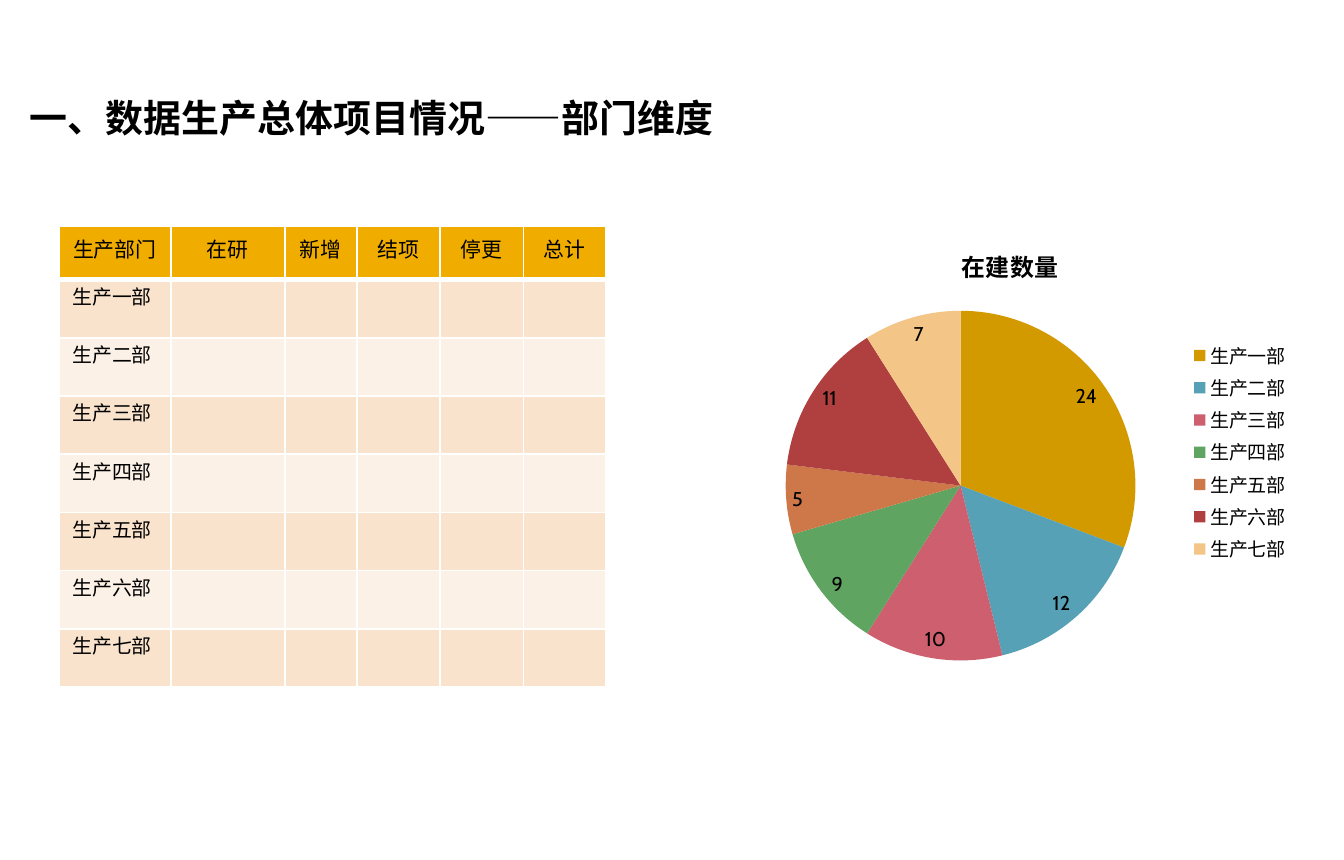
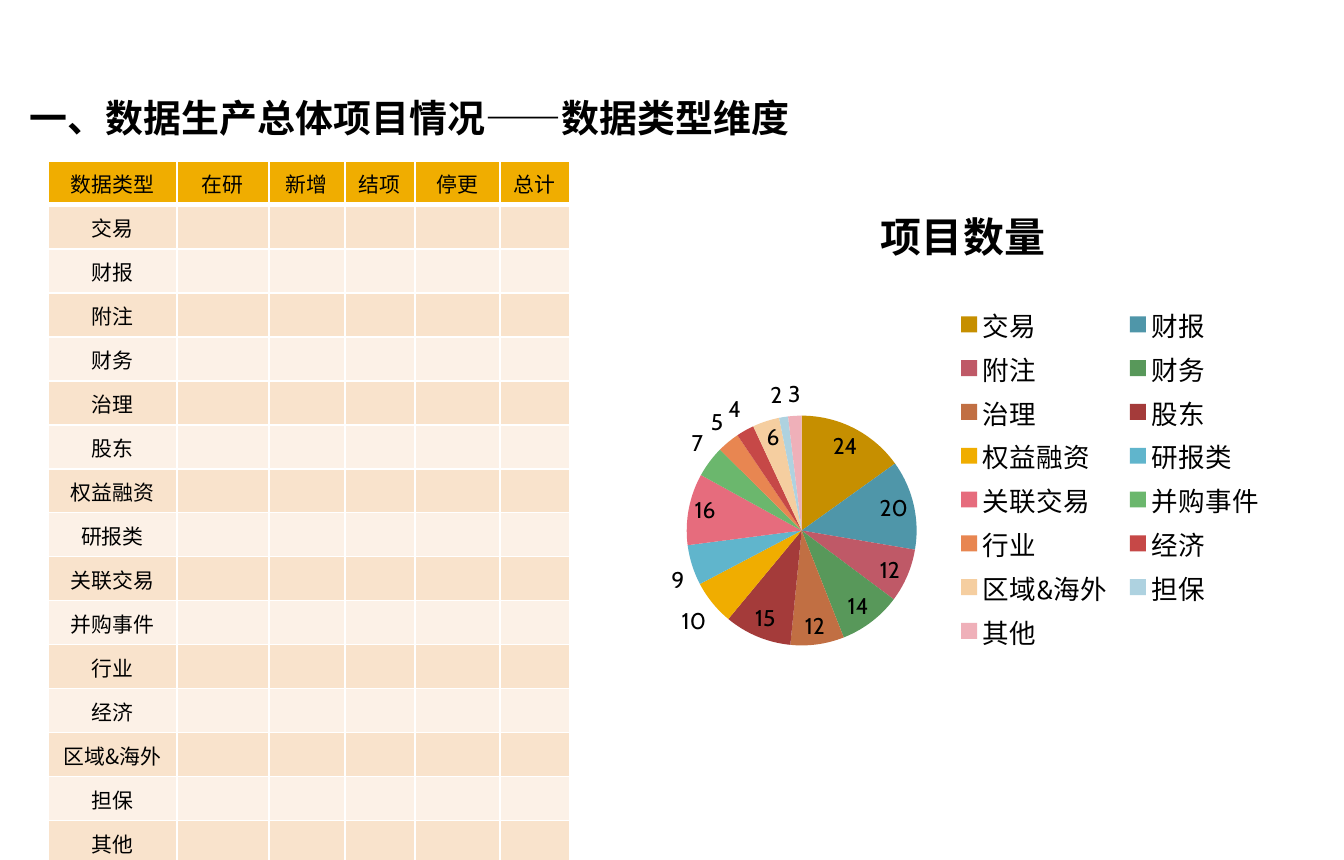
from dataclasses import dataclass

from lxml import etree
from pptx import Presentation
from pptx.chart.data import CategoryChartData
from pptx.dml.color import RGBColor
from pptx.enum.chart import XL_CHART_TYPE, XL_LABEL_POSITION, XL_LEGEND_POSITION
from pptx.enum.text import MSO_ANCHOR, PP_ALIGN
from pptx.oxml.ns import qn
from pptx.util import Emu, Pt

PIE = XL_CHART_TYPE.PIE
LEGEND_RIGHT = XL_LEGEND_POSITION.RIGHT
BEST_FIT = XL_LABEL_POSITION.BEST_FIT
LEFT, CENTER = PP_ALIGN.LEFT, PP_ALIGN.CENTER
TOP, MIDDLE = MSO_ANCHOR.TOP, MSO_ANCHOR.MIDDLE


@dataclass(frozen=True)
class Theme:
    text: str = "000000"
    header: str = "F0AD00"
    bands: tuple = ("F9E3CC", "FCF1E7")
    border: str = "FFFFFF"
    font: str = "Arial"
    east_asian_font: str = "Noto Sans CJK SC"
    chart_font: str = "Cabin"
    title_size: float = 20
    header_size: float = 11
    thin: float = 1
    thick: float = 3


THEME = Theme()
SLIDE_WIDTH, SLIDE_HEIGHT = Emu(9000000), Emu(5760000)
TITLE_BOX = (16, 86, 925, 62)
MEASURES = ["在研", "新增", "结项", "停更", "总计"]

SLIDES = [
    {
        "title": "一、数据生产总体项目情况——部门维度 ",
        "table": {
            "heading": "生产部门",
            "corner": (59, 226),
            "columns": (112, 114, 72, 83, 84, 82),
            "header_height": 54,
            "row_height": 58.2,
            "label": {
                "size": 10.5,
                "font": THEME.font,
                "east_asian": THEME.font,
                "align": LEFT,
            },
            "cell": {"vertical_anchor": TOP},
        },
        "chart": {
            "name": "在建数量",
            "box": (716, 225, 589, 455),
            "pie": (786, 311, 350, 350),
            "legend": (1190, 337, 100, 231),
            "sizes": {"title": 12.6, "labels": 10.5, "legend": 10},
        },
        "data": [
            ("生产一部", 24, "D39A00"),
            ("生产二部", 12, "56A1B6"),
            ("生产三部", 10, "CD5F6F"),
            ("生产四部", 9, "5FA461"),
            ("生产五部", 5, "CE7748"),
            ("生产六部", 11, "B03F3F"),
            ("生产七部", 7, "F3C587"),
        ],
    },
    {
        "title": "一、数据生产总体项目情况——数据类型维度 ",
        "table": {
            "heading": "数据类型",
            "corner": (48, 161),
            "columns": (129, 92, 76, 70, 85, 70),
            "header_height": 44,
            "row_height": 44,
            "label": {
                "size": 11,
                "font": THEME.east_asian_font,
                "east_asian": THEME.east_asian_font,
                "align": CENTER,
            },
            "cell": {
                "vertical_anchor": MIDDLE,
                "margin_left": Pt(0.72),
                "margin_top": Pt(0.72),
                "margin_right": Pt(0.72),
                "margin_bottom": 0,
            },
        },
        "chart": {
            "name": "项目数量",
            "box": (641, 172, 645, 613),
            "pie": (687, 416, 230, 230),
            "legend": (948, 300, 326, 356),
            "sizes": {"title": 21.6, "labels": 12, "legend": 14},
        },
        "data": [
            ("交易", 24, "C68F00"),
            ("财报", 20, "4F96A9"),
            ("附注", 12, "BF5967"),
            ("财务", 14, "58985A"),
            ("治理", 12, "C16F43"),
            ("股东", 15, "A43B3A"),
            ("权益融资", 10, "F0AD00"),
            ("研报类", 9, "60B5CC"),
            ("关联交易", 16, "E66C7D"),
            ("并购事件", 7, "6BB76D"),
            ("行业", 5, "E88651"),
            ("经济", 4, "C64847"),
            ("区域&海外", 6, "F5CEA0"),
            ("担保", 2, "AED2E0"),
            ("其他", 3, "EFB0B9"),
        ],
    },
]


def px(length):
    return Emu(round(length * 914400 / 136.6))


def apply(target, values):
    for name, value in values.items():
        setattr(target, name, value)


def style_font(font, size, name, bold=False):
    apply(font, {"size": Pt(size), "name": name, "bold": bold})
    font.color.rgb = RGBColor.from_string(THEME.text)


def write(paragraph, text, size, font, align, bold=False, east_asian=None):
    paragraph.alignment = align
    if not text:
        paragraph._p.get_or_add_endParaRPr().set("sz", str(round(size * 100)))
        return
    run = paragraph.add_run()
    run.text = text
    style_font(run.font, size, font, bold)
    if east_asian:
        element = etree.SubElement(run.font._element, qn("a:ea"))
        element.set("typeface", east_asian)


def add_title(slide, text):
    title = slide.shapes.title
    apply(title, dict(zip(("left", "top", "width", "height"), map(px, TITLE_BOX))))
    frame = title.text_frame
    apply(frame, {"vertical_anchor": MIDDLE, "word_wrap": True})
    write(frame.paragraphs[0], text, THEME.title_size, THEME.font, LEFT, True,
          THEME.east_asian_font)


def set_borders(cell, widths):
    properties = cell._tc.get_or_add_tcPr()
    for index, (side, width) in enumerate(widths.items()):
        line = etree.Element(qn(f"a:ln{side}"), w=str(Pt(width)))
        fill = etree.SubElement(line, qn("a:solidFill"))
        etree.SubElement(fill, qn("a:srgbClr"), val=THEME.border)
        properties.insert(index, line)


def add_table(slide, layout, labels):
    rows = [[layout["heading"], *MEASURES]]
    rows += [[label] + [""] * len(MEASURES) for label in labels]
    columns = layout["columns"]
    heights = [layout["header_height"]] + [layout["row_height"]] * len(labels)
    size = (sum(columns), sum(heights))
    frame = slide.shapes.add_table(
        len(rows), len(columns), *map(px, layout["corner"] + size)
    )
    table = frame.table
    apply(table, {"first_row": False, "horz_banding": False})
    for column, width in zip(table.columns, columns):
        column.width = px(width)
    for row, height in zip(table.rows, heights):
        row.height = px(height)
    header_style = {
        "size": THEME.header_size,
        "font": THEME.font,
        "east_asian": THEME.east_asian_font,
        "align": CENTER,
    }
    for row_index, texts in enumerate(rows):
        is_header = row_index == 0
        color = THEME.header if is_header else THEME.bands[(row_index - 1) % 2]
        style = header_style if is_header else layout["label"]
        top = THEME.thick if row_index == 1 else THEME.thin
        bottom = THEME.thick if is_header else THEME.thin
        borders = {"L": THEME.thin, "R": THEME.thin, "T": top, "B": bottom}
        for column_index, text in enumerate(texts):
            cell = table.cell(row_index, column_index)
            cell.fill.solid()
            cell.fill.fore_color.rgb = RGBColor.from_string(color)
            if not is_header:
                apply(cell, layout["cell"])
            write(cell.text_frame.paragraphs[0], text, **style)
            set_borders(cell, borders)


def place_part(element, index, part, box, is_plot):
    for old_layout in element.findall(qn("c:layout")):
        element.remove(old_layout)
    layout = etree.Element(qn("c:layout"))
    manual = etree.SubElement(layout, qn("c:manualLayout"))
    left, top, width, height = box
    settings = {"layoutTarget": "inner"} if is_plot else {}
    settings |= {
        "xMode": "edge",
        "yMode": "edge",
        "x": round((part[0] - left) / width, 4),
        "y": round((part[1] - top) / height, 4),
        "w": round(part[2] / width, 4),
        "h": round(part[3] / height, 4),
    }
    for name, value in settings.items():
        etree.SubElement(manual, qn(f"c:{name}"), val=str(value))
    element.insert(index, layout)


def add_pie(slide, layout, data):
    labels, values, colors = zip(*data)
    chart_data = CategoryChartData()
    chart_data.categories = labels
    chart_data.add_series(layout["name"], values)
    box, sizes = layout["box"], layout["sizes"]
    chart = slide.shapes.add_chart(PIE, *map(px, box), chart_data).chart
    style_font(chart.font, sizes["labels"], THEME.chart_font)

    chart.has_title = True
    paragraph = chart.chart_title.text_frame.paragraphs[0]
    write(paragraph, layout["name"], sizes["title"], THEME.chart_font, CENTER, True)

    chart.has_legend = True
    legend = chart.legend
    apply(legend, {"position": LEGEND_RIGHT, "include_in_layout": False})
    style_font(legend.font, sizes["legend"], THEME.chart_font)

    plot = chart.plots[0]
    apply(plot, {"vary_by_categories": True, "has_data_labels": True})
    apply(plot.data_labels, {"show_value": True, "show_percentage": False,
                             "position": BEST_FIT})
    style_font(plot.data_labels.font, sizes["labels"], THEME.chart_font)
    for index, color in enumerate(colors):
        fill = plot.series[0].points[index].format.fill
        fill.solid()
        fill.fore_color.rgb = RGBColor.from_string(color)

    plot_area = chart._chartSpace.chart.plotArea
    place_part(plot_area, 0, layout["pie"], box, True)
    place_part(legend._element, 1, layout["legend"], box, False)


presentation = Presentation()
apply(presentation, {"slide_width": SLIDE_WIDTH, "slide_height": SLIDE_HEIGHT})
title_only = presentation.slide_layouts[5]
for content in SLIDES:
    slide = presentation.slides.add_slide(title_only)
    add_title(slide, content["title"])
    add_table(slide, content["table"], [label for label, *_ in content["data"]])
    add_pie(slide, content["chart"], content["data"])
presentation.save("out.pptx")
